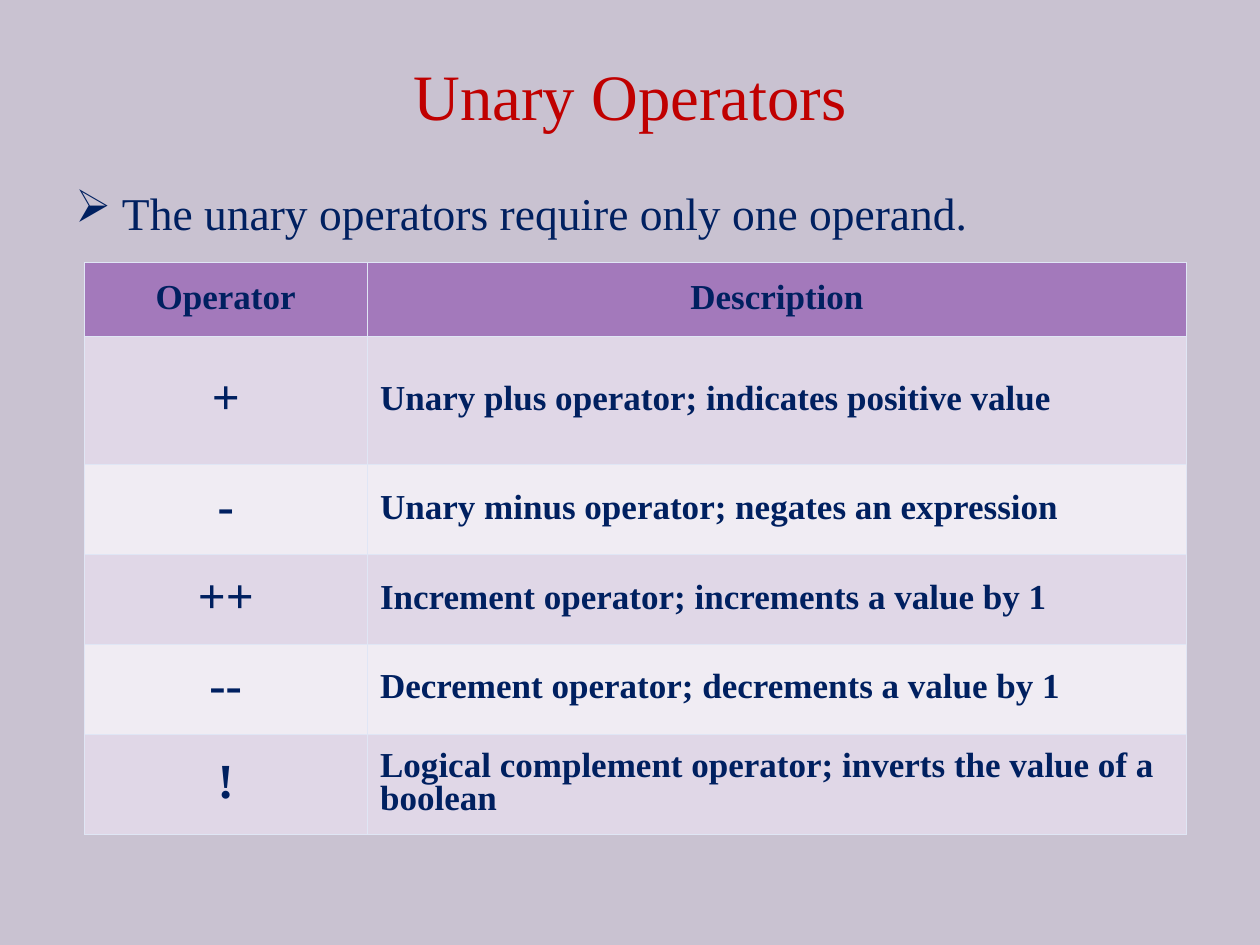
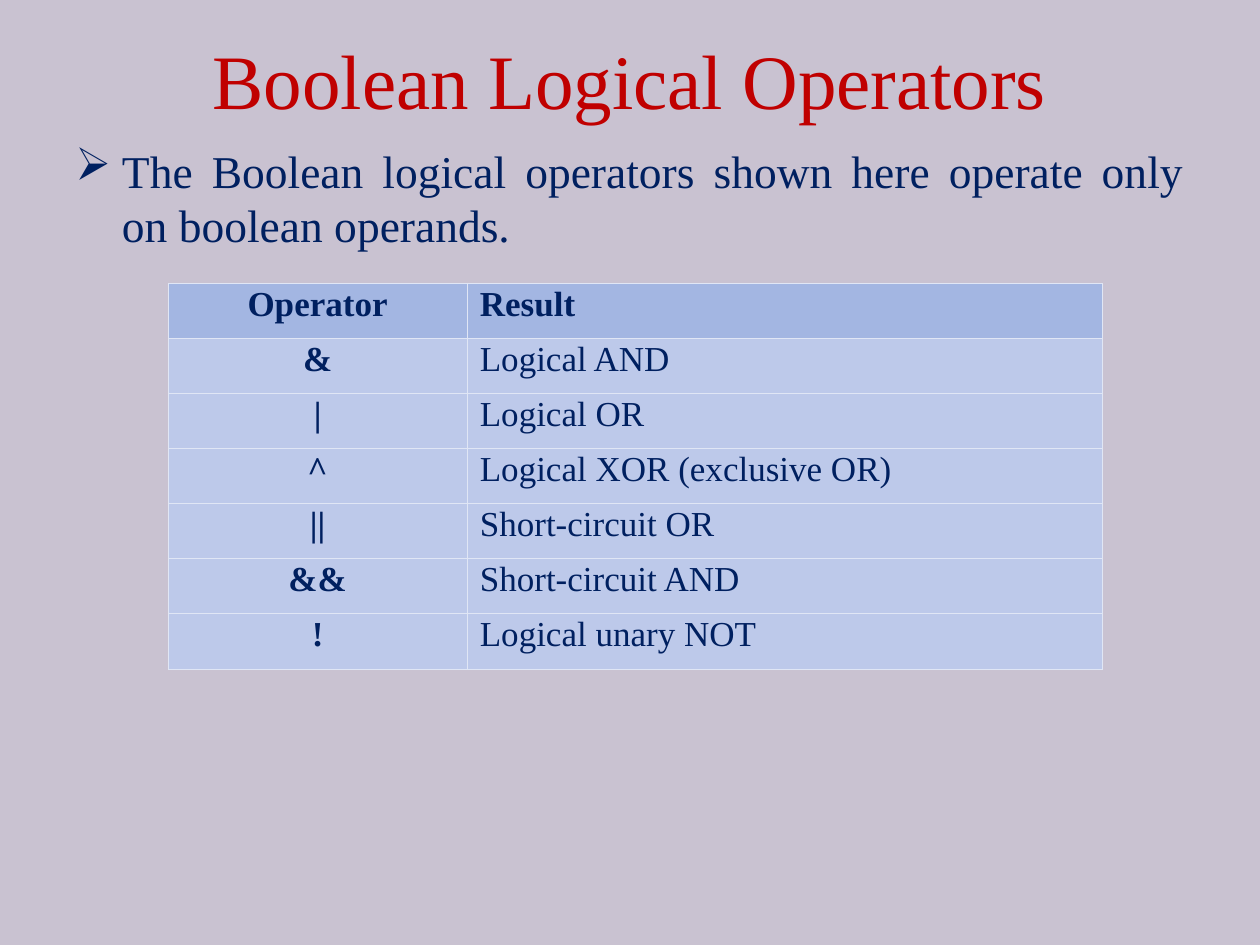
from lxml.etree import SubElement
from pptx import Presentation
from pptx.dml.color import RGBColor
from pptx.enum.text import MSO_ANCHOR, MSO_AUTO_SIZE, PP_ALIGN
from pptx.oxml import parse_xml
from pptx.oxml.ns import nsdecls, qn
from pptx.util import Inches, Pt

COLORS = {
    "background": "C9C2D1",
    "title": "C00000",
    "text": "002060",
    "border": "E0E6F5",
    "purple": "A379BB",
    "purple_band": "E0D7E7",
    "purple_pale": "F0ECF3",
    "blue": "A3B6E2",
    "blue_pale": "BDC9EA",
}
FONT = "Times New Roman"
COLUMNS, ROWS = 120, 90
THIN, THICK = 0.11, 0.34

UNARY = [
    ("Operator", "Description"),
    ("+", "Unary plus operator; indicates positive value"),
    ("-", "Unary minus operator; negates an expression"),
    ("++", "Increment operator; increments a value by 1"),
    ("--", "Decrement operator; decrements a value by 1"),
    ("!", "Logical complement operator; inverts the value of a boolean"),
]
BOOLEAN = [
    ("Operator", "Result"),
    ("&", "Logical AND"),
    ("|", "Logical OR"),
    ("^", "Logical XOR (exclusive OR)"),
    ("||", "Short-circuit OR"),
    ("&&", "Short-circuit AND"),
    ("!", "Logical unary NOT"),
]


def rgb(name):
    return RGBColor.from_string(COLORS[name])


class Deck:
    def __init__(self):
        self.prs = Presentation()
        self.prs.slide_width, self.prs.slide_height = Inches(10), Inches(7.5)
        self.s = None

    def x(self, columns):
        return round(self.prs.slide_width * columns / COLUMNS)

    def y(self, rows):
        return round(self.prs.slide_height * rows / ROWS)

    def box(self, left, top, width, height):
        return self.x(left), self.y(top), self.x(width), self.y(height)

    def add_text(self, tf, text, size, color="text", bold=False, align=PP_ALIGN.LEFT, spacing=1.0):
        tf.word_wrap = True
        p = tf.paragraphs[0]
        p.alignment, p.line_spacing = align, spacing
        r = p.add_run()
        r.text = text
        r.font.name, r.font.size, r.font.bold = FONT, Pt(size), bold
        r.font.color.rgb = rgb(color)
        return p

    def slide(self, title, area, size, spacing=1.0):
        self.s = self.prs.slides.add_slide(self.prs.slide_layouts[5])
        self.s.background.fill.solid()
        self.s.background.fill.fore_color.rgb = rgb("background")
        sp = self.s.shapes.title
        sp.left, sp.top, sp.width, sp.height = self.box(*area)
        tf = sp.text_frame
        tf.auto_size, tf.vertical_anchor = MSO_AUTO_SIZE.NONE, MSO_ANCHOR.MIDDLE
        self.add_text(tf, title, size, "title", align=PP_ALIGN.CENTER, spacing=spacing)

    def bullet(self, text, area, align=PP_ALIGN.LEFT):
        tf = self.s.shapes.add_textbox(*self.box(*area)).text_frame
        p = self.add_text(tf, text, 26, align=align)
        p.space_before = Pt(6.5)
        pPr = p._p.get_or_add_pPr()
        indent = Inches(0.37)
        pPr.set("marL", str(indent))
        pPr.set("indent", str(-indent))
        buClr = SubElement(pPr, qn("a:buClr"))
        SubElement(buClr, qn("a:srgbClr")).set("val", COLORS["text"])
        SubElement(pPr, qn("a:buChar")).set("char", "➢")

    def borders(self, cell, row):
        tcPr = cell._tc.get_or_add_tcPr()
        top = THICK if row == 1 else THIN
        bottom = THICK if row == 0 else THIN
        for i, (side, width) in enumerate(zip("LRTB", (THIN, THIN, top, bottom))):
            tcPr.insert(i, parse_xml(
                f'<a:ln{side} {nsdecls("a")} w="{Pt(width)}"><a:solidFill>'
                f'<a:srgbClr val="{COLORS["border"]}"/></a:solidFill></a:ln{side}>'))

    def table(self, data, left, top, widths, heights, header, bands, anchor,
              symbol_size=20, bold=False, header_align=PP_ALIGN.LEFT):
        area = self.box(left, top, sum(widths), sum(heights))
        tbl = self.s.shapes.add_table(len(data), len(widths), *area).table
        tbl.horz_banding = False
        for column, width in zip(tbl.columns, widths):
            column.width = self.x(width)
        for i, (values, height) in enumerate(zip(data, heights)):
            tbl.rows[i].height = self.y(height)
            for j, value in enumerate(values):
                cell = tbl.cell(i, j)
                cell.vertical_anchor = anchor
                cell.fill.solid()
                cell.fill.fore_color.rgb = rgb(bands[(i - 1) % len(bands)] if i else header)
                self.borders(cell, i)
                align = PP_ALIGN.CENTER if j == 0 else header_align if i == 0 else PP_ALIGN.LEFT
                self.add_text(cell.text_frame, value, symbol_size if i and j == 0 else 20,
                              bold=bold or i == 0 or j == 0, align=align, spacing=0.86)


def main():
    deck = Deck()

    deck.slide("Unary Operators", (9, 5, 102, 9), 37, spacing=0.9)
    deck.bullet("The unary operators require only one operand.", (6, 17, 108, 63.4))
    deck.table(UNARY, 8, 25, (27, 78), (7, 12.25, 8.55, 8.55, 8.55, 9.6),
               "purple", ("purple_band", "purple_pale"), MSO_ANCHOR.MIDDLE,
               symbol_size=28, bold=True, header_align=PP_ALIGN.CENTER)

    deck.slide("Boolean Logical Operators", (6, 0, 108, 15), 44)
    deck.bullet("The Boolean logical operators shown here operate only on boolean operands.",
                (6, 13, 108, 14), PP_ALIGN.JUSTIFY)
    deck.table(BOOLEAN, 16, 27, (28.5, 60.5), [5.24] * len(BOOLEAN),
               "blue", ("blue_pale",), MSO_ANCHOR.TOP)

    deck.prs.save("out.pptx")


if __name__ == "__main__":
    main()
